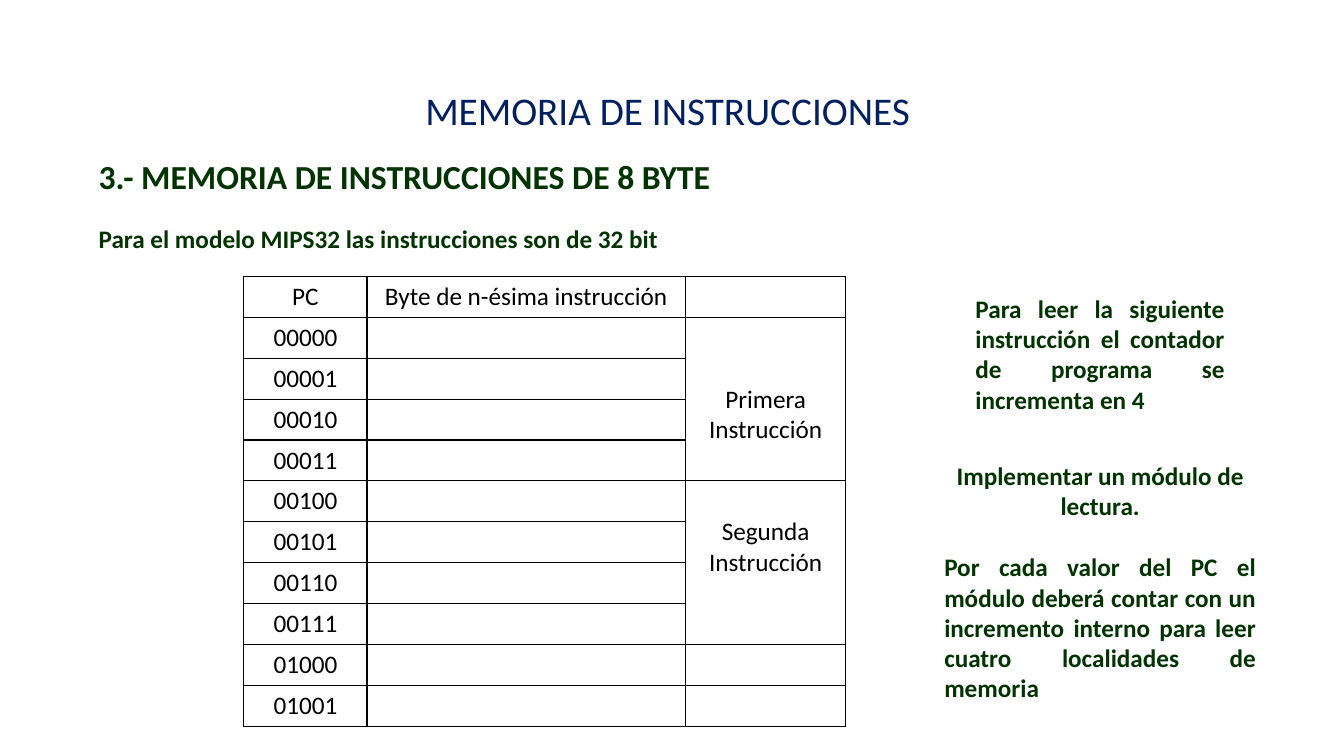
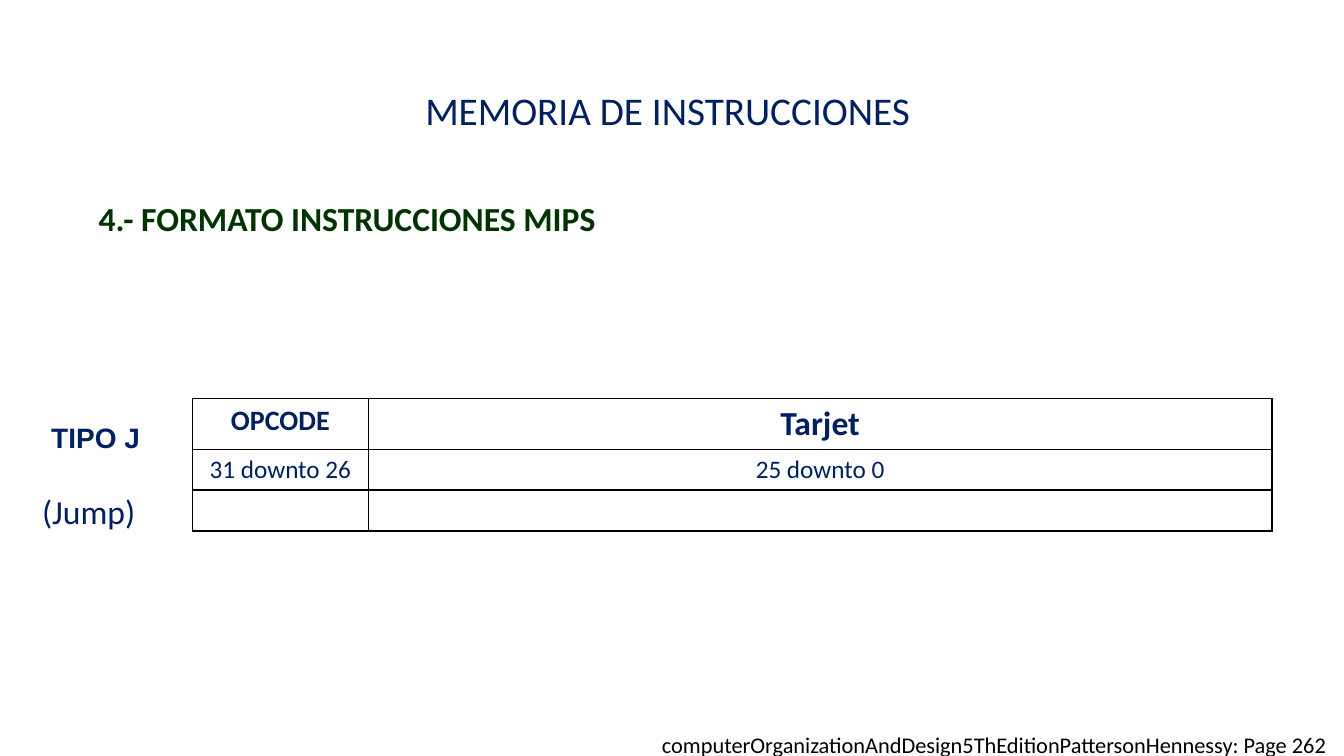
import collections
import dataclasses

import lxml.etree
import pptx
import pptx.dml.color
import pptx.enum.text
import pptx.oxml.ns
import pptx.util

Pt = pptx.util.Pt
qn = pptx.oxml.ns.qn
Align = pptx.enum.text.PP_ALIGN
Box = collections.namedtuple("Box", "x y w h")
Style = collections.namedtuple("Style", "size color bold font", defaults=(False, "Calibri"))
Para = collections.namedtuple("Para", "text style align before", defaults=(Align.LEFT, 0))


@dataclasses.dataclass(frozen=True)
class Theme:
    width: float = 960
    height: float = 540
    navy: str = "002060"
    green: str = "003300"
    black: str = "000000"
    line: float = 1
    row: float = 29.2
    leading: float = 22
    title: Style = Style(28, navy)
    heading: Style = Style(24, green, True)
    body: Style = Style(18, green, True)
    cell: Style = Style(18, black)
    field: Style = Style(20, navy, True)
    field_large: Style = Style(24, navy, True)
    bits: Style = Style(18, navy)
    kind: Style = Style(20, navy, True, "Arial")
    kind_note: Style = Style(24, navy)
    source: Style = Style(16, black)


THEME = Theme()
TITLE_BOX = Box(296.6, 58.3, 364.3, 41)
HEADING_X = 63.4


def place(shape, box):
    shape.left, shape.top, shape.width, shape.height = (Pt(v) for v in box)


def add_run(p, text, style):
    r = p.add_run()
    r.text = text
    r.font.size = Pt(style.size)
    r.font.bold = style.bold
    r.font.name = style.font
    r.font.color.rgb = pptx.dml.color.RGBColor.from_string(style.color)


def write(tf, *paras):
    for i, para in enumerate(paras):
        p = tf.add_paragraph() if i else tf.paragraphs[0]
        p.alignment = para.align
        p.space_before = Pt(para.before)
        add_run(p, para.text, para.style)


def add_text(s, box, *paras):
    sp = s.shapes.add_textbox(*(Pt(v) for v in box))
    sp.text_frame.word_wrap = True
    write(sp.text_frame, *paras)


def add_borders(cell):
    tc_pr = cell._tc.get_or_add_tcPr()
    for side in ("a:lnL", "a:lnR", "a:lnT", "a:lnB"):
        ln = lxml.etree.SubElement(tc_pr, qn(side), w=str(Pt(THEME.line)))
        fill = lxml.etree.SubElement(ln, qn("a:solidFill"))
        lxml.etree.SubElement(fill, qn("a:srgbClr"), val=THEME.black)


def write_cell(cell, text, style):
    write(cell.text_frame, Para(text, style, Align.CENTER))


def add_grid(s, box, widths, heights):
    sp = s.shapes.add_table(len(heights), len(widths), *(Pt(v) for v in box))
    table = sp.table
    table.first_row = table.horz_banding = False
    for column, width in zip(table.columns, widths):
        column.width = Pt(width)
    for row, height in zip(table.rows, heights):
        row.height = Pt(height)
    for cell in table.iter_cells():
        add_borders(cell)
        cell.fill.background()
    return table


def add_slide(prs, heading, heading_box):
    s = prs.slides.add_slide(prs.slide_layouts[5])
    sp = s.shapes.title
    place(sp, TITLE_BOX)
    tf = sp.text_frame
    tf.word_wrap = False
    tf.auto_size = pptx.enum.text.MSO_AUTO_SIZE.NONE
    tf.vertical_anchor = pptx.enum.text.MSO_ANCHOR.TOP
    write(tf, Para("MEMORIA DE INSTRUCCIONES", THEME.title))
    add_text(s, heading_box, Para(heading, THEME.heading))
    return s


def add_memory_table(s, box):
    addresses = [f"{n:05b}" for n in range(10)]
    widths = (88, 227.5, box.w - 315.5)
    table = add_grid(s, box, widths, [THEME.row] * (len(addresses) + 1))
    for col, text in enumerate(("PC", "Byte de n-ésima instrucción")):
        write_cell(table.cell(0, col), text, THEME.cell)
    for row, address in enumerate(addresses, 1):
        write_cell(table.cell(row, 0), address, THEME.cell)
    for row, text, lines in ((1, "Primera Instrucción", 2), (5, "Segunda Instrucción", 1)):
        cell = table.cell(row, 2)
        cell.merge(table.cell(row + 3, 2))
        cell.margin_top = Pt(3.6 + lines * THEME.leading)
        write_cell(cell, text, THEME.cell)


def add_reading_notes(s, box):
    add_text(
        s, Box(box.x + 22.3, box.y, 192.2, 94.3),
        Para("Para leer la siguiente instrucción el contador de programa se incrementa en 4",
             THEME.body, Align.JUSTIFY))
    add_text(
        s, Box(box.x, box.y + 119.5, box.w, box.h - 119.5),
        Para("Implementar un módulo de lectura.", THEME.body, Align.CENTER),
        Para("Por cada valor del PC el módulo deberá contar con un incremento interno "
             "para leer cuatro localidades de memoria",
             THEME.body, Align.JUSTIFY, THEME.leading))


def add_jump_format(s, box):
    table_x = 137.5
    opcode_w = 125.5
    target_w = box.w - table_x - opcode_w
    table_box = Box(box.x + table_x, box.y, box.w - table_x, box.h)
    heights = (box.h - 2 * THEME.row, THEME.row, THEME.row)
    table = add_grid(s, table_box, (opcode_w, target_w), heights)
    fields = (("OPCODE", THEME.field, "31 downto 26"), ("Tarjet", THEME.field_large, "25 downto 0"))
    for col, (name, style, bits) in enumerate(fields):
        write_cell(table.cell(0, col), name, style)
        write_cell(table.cell(1, col), bits, THEME.bits)
    add_text(s, Box(box.x + 15.8, box.y + 12.2, 105.1, 31.5),
             Para("TIPO J", THEME.kind, Align.CENTER))
    add_text(s, Box(box.x, box.y + 62.6, 126.7, 36),
             Para("(Jump)", THEME.kind_note, Align.CENTER))


def add_source(s, box):
    add_text(s, box, Para("computerOrganizationAndDesign5ThEditionPattersonHennessy: Page 262",
                          THEME.source))


def build_memory_slide(prs):
    s = add_slide(prs, "3.- MEMORIA DE INSTRUCCIONES DE 8 BYTE", Box(HEADING_X, 108, 516.2, 36))
    add_text(s, Box(HEADING_X, 156.2, 429.8, 29),
             Para("Para el modelo MIPS32 las instrucciones son de 32 bit", THEME.body))
    add_memory_table(s, Box(174.2, 197.5, 430, 321.2))
    add_reading_notes(s, Box(667.4, 205.9, 236.9, 301))


def build_format_slide(prs):
    s = add_slide(prs, "4.- FORMATO INSTRUCCIONES MIPS", Box(HEADING_X, 137.5, 416.2, 36))
    add_jump_format(s, Box(0, 284.8, 908.6, 94.4))
    add_source(s, Box(465.8, 518.4, THEME.width - 465.8, THEME.height - 518.4))


def main():
    prs = pptx.Presentation()
    prs.slide_width = Pt(THEME.width)
    prs.slide_height = Pt(THEME.height)
    build_memory_slide(prs)
    build_format_slide(prs)
    prs.save("out.pptx")


if __name__ == "__main__":
    main()
